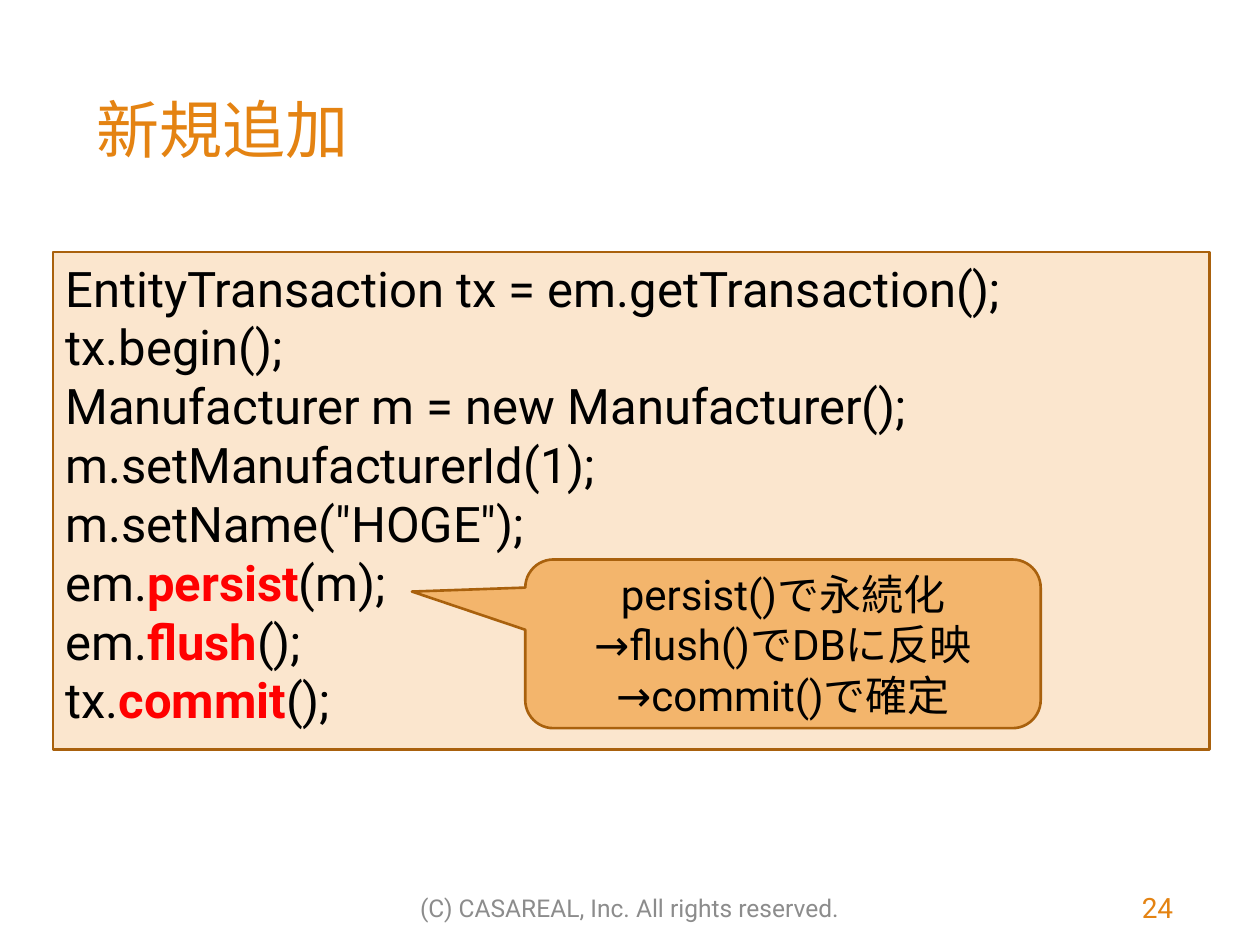
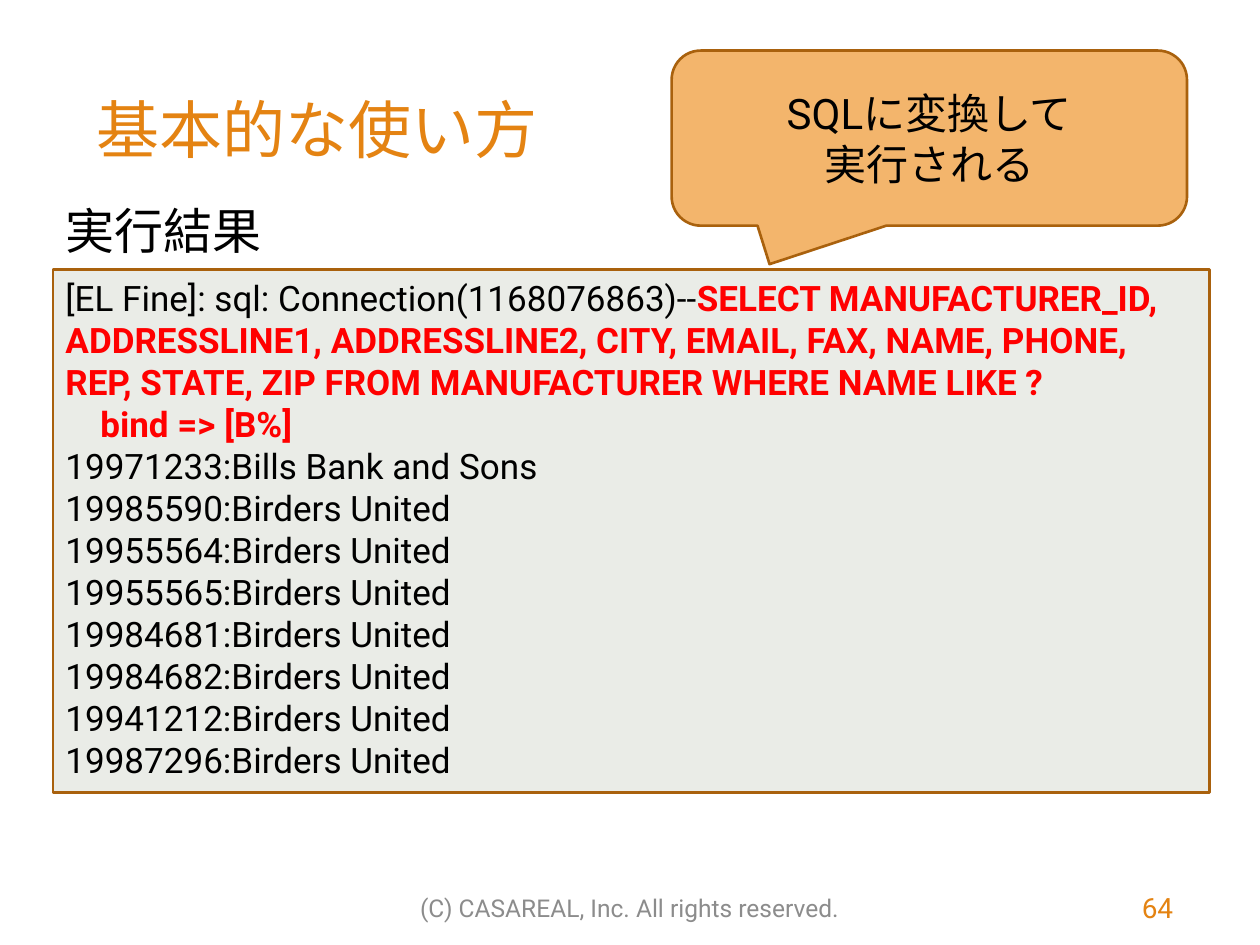
from pptx import Presentation
from pptx.dml.color import RGBColor
from pptx.enum.shapes import MSO_SHAPE
from pptx.enum.text import MSO_ANCHOR, PP_ALIGN
from pptx.util import Cm, Pt

FONT = "Roboto"
ORANGE = RGBColor(0xE4, 0x83, 0x12)
BROWN = RGBColor(0xA9, 0x61, 0x0D)
PEACH = RGBColor(0xF3, 0xB5, 0x6C)
CREAM = RGBColor(0xFB, 0xE6, 0xCE)
PALE = RGBColor(0xEA, 0xEC, 0xE7)
GRAY = RGBColor(0x8C, 0x8C, 0x8C)
BLACK = RGBColor(0, 0, 0)
RED = RGBColor(0xFF, 0, 0)

FOOTER = "(C) CASAREAL, Inc. All rights reserved."

# Text between asterisks is bold red. Boxes are left, top, width, height in cm.
SLIDES = [
    dict(
        title="新規追加", page=24,
        code=[
            "EntityTransaction tx = em.getTransaction();",
            "tx.begin();",
            "Manufacturer m = new Manufacturer();",
            "m.setManufacturerId(1);",
            'm.setName("HOGE");',
            "em.*persist*(m);",
            "em.*flush*();",
            "tx.*commit*();",
        ],
        size=28, fill=CREAM, top=5.08, height=10.03,
        note=["persist()で永続化", "→flush()でDBに反映", "→commit()で確定"],
        place=(10.59, 11.28, 10.39, 3.4), tip=(-0.72, -0.31),
    ),
    dict(
        title="基本的な使い方", page=64, head="実行結果",
        code=[
            "[EL Fine]: sql: Connection(1168076863)--*SELECT MANUFACTURER_ID, "
            "ADDRESSLINE1, ADDRESSLINE2, CITY, EMAIL, FAX, NAME, PHONE, REP, "
            "STATE, ZIP FROM MANUFACTURER WHERE NAME LIKE ?*",
            "*    bind => [B%]*",
            "19971233:Bills Bank and Sons",
            "19985590:Birders United",
            "19955564:Birders United",
            "19955565:Birders United",
            "19984681:Birders United",
            "19984682:Birders United",
            "19941212:Birders United",
            "19987296:Birders United",
        ],
        size=20, fill=PALE, top=5.44, height=10.54,
        note=["SQLに変換して", "実行される"],
        place=(13.54, 1.02, 10.39, 3.53), tip=(-0.31, 0.72),
    ),
]


def write(shape, lines, size, color=BLACK, align=PP_ALIGN.LEFT,
          anchor=MSO_ANCHOR.TOP):
    frame = shape.text_frame
    frame.word_wrap = True
    frame.vertical_anchor = anchor
    for i, line in enumerate(lines):
        para = frame.paragraphs[0] if i == 0 else frame.add_paragraph()
        para.alignment = align
        font = para.font
        font.name, font.size = FONT, Pt(size)
        font.color.rgb = color
        for j, part in enumerate(line.split("*")):
            if part:
                run = para.add_run()
                run.text = part
                if j % 2:
                    run.font.bold = True
                    run.font.color.rgb = RED


def label(slide, place, text, size, **style):
    box = slide.shapes.add_textbox(*map(Cm, place))
    write(box, [text], size, **style)


def panel(slide, kind, place, fill):
    shape = slide.shapes.add_shape(kind, *map(Cm, place))
    shape.shadow.inherit = False
    shape.fill.solid()
    shape.fill.fore_color.rgb = fill
    shape.line.color.rgb = BROWN
    shape.line.width = Pt(1.5)
    return shape


def build(deck, data):
    slide = deck.slides.add_slide(deck.slide_layouts[6])
    label(slide, (1.7, 1.7, 22.23, 3.66), data["title"], 36, color=ORANGE)
    label(slide, (6.27, 17.78, 12.85, 1.02), FOOTER, 14, color=GRAY,
          align=PP_ALIGN.CENTER, anchor=MSO_ANCHOR.MIDDLE)
    label(slide, (22.48, 17.78, 1.42, 1.02), str(data["page"]), 16,
          color=ORANGE, align=PP_ALIGN.RIGHT, anchor=MSO_ANCHOR.MIDDLE)

    place = (1.07, data["top"], 23.32, data["height"])
    code = panel(slide, MSO_SHAPE.RECTANGLE, place, data["fill"])
    write(code, data["code"], data["size"])
    if "head" in data:
        label(slide, (1.07, 3.91, 8.71, 1.45), data["head"], 28)

    note = panel(slide, MSO_SHAPE.ROUNDED_RECTANGULAR_CALLOUT,
                 data["place"], PEACH)
    for i, value in enumerate(data["tip"]):
        note.adjustments[i] = value
    write(note, data["note"], 24, align=PP_ALIGN.CENTER,
          anchor=MSO_ANCHOR.MIDDLE)


def main():
    deck = Presentation()
    deck.slide_width, deck.slide_height = Cm(25.4), Cm(19.05)
    for data in SLIDES:
        build(deck, data)
    deck.save("out.pptx")


if __name__ == "__main__":
    main()
